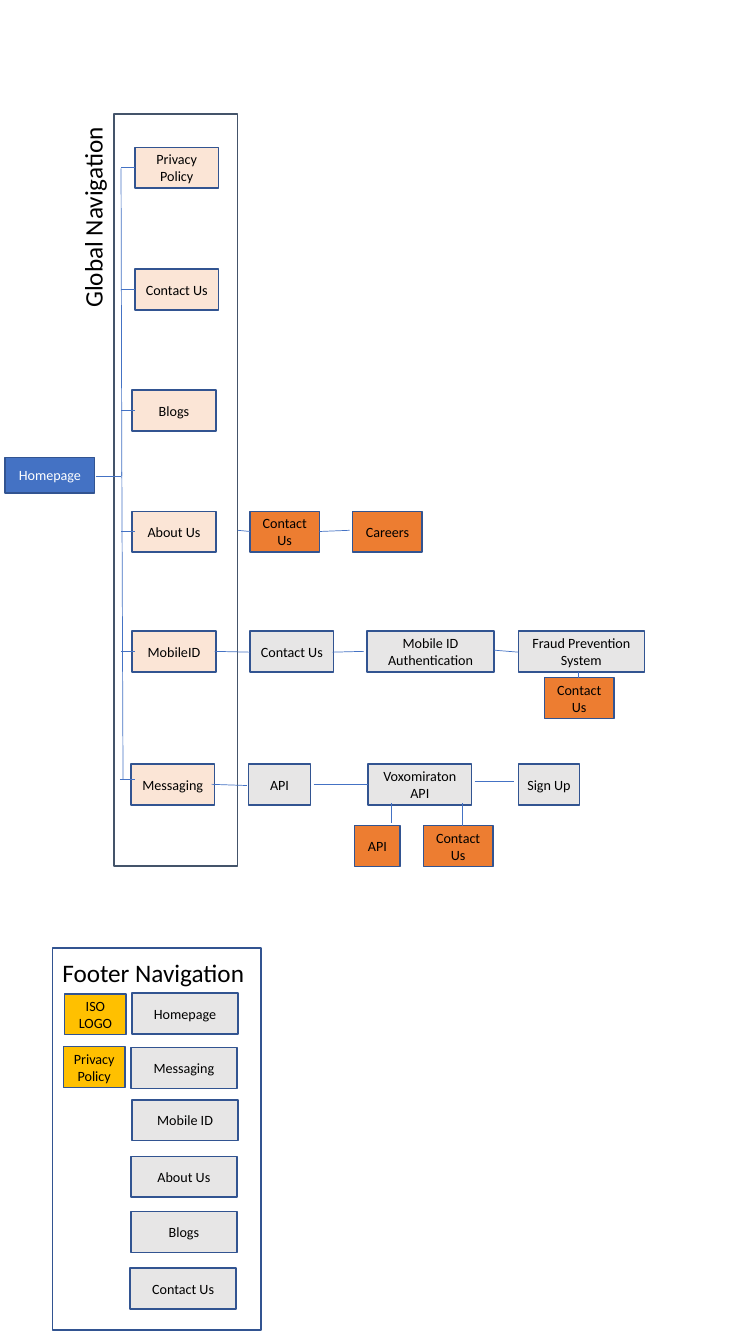
from pptx import Presentation
from pptx import util as u
from pptx.dml.color import RGBColor
from pptx.enum import shapes, text
from lxml import etree

HUES = {"blue": "4472C4", "edge": "325491", "slate": "44546A", "peach": "FBE5D6",
        "gray": "E7E6E6", "rust": "ED7D31", "gold": "FFC000",
        "black": "000000", "white": "FFFFFF"}
FONT = "Calibri"
TALL = 1.03  # height of a page box, cm

# Global menu: label, left, top
MENU = [("Privacy Policy", 3.4, 3.71), ("Contact Us", 3.4, 6.78),
        ("Blogs", 3.33, 9.83), ("About Us", 3.33, 12.88),
        ("MobileID", 3.33, 15.9), ("Messaging", 3.3, 19.25)]

# Sub-pages: top, fill, then label, left, width
ROWS = [
    (12.88, "rust", [("Contact Us", 6.3, 1.75), ("Careers", 8.89, 1.75)]),
    (15.9, "gray", [("Contact Us", 6.3, 2.11), ("Mobile ID Authentication", 9.25, 3.2),
                    ("Fraud Prevention System", 13.06, 3.18)]),
    (17.07, "rust", [("Contact Us", 13.72, 1.75)]),
    (19.25, "gray", [("API", 6.27, 1.55), ("Voxomiraton API", 9.27, 2.62),
                     ("Sign Up", 13.06, 1.55)]),
    (20.8, "rust", [("API", 8.94, 1.14), ("Contact Us", 10.67, 1.75)]),
]

# Footer: label, left, top
FOOT = [("Homepage", 3.33, 25.02), ("Messaging", 3.3, 26.39),
        ("Mobile ID", 3.33, 27.71), ("About Us", 3.3, 29.13),
        ("Blogs", 3.3, 30.53), ("Contact Us", 3.28, 31.95)]
BADGES = [("ISO LOGO", 1.63, 25.04), ("Privacy Policy", 1.6, 26.37)]

# Links: x1, y1, x2, y2
TRUNK = [(2.41, 11.99, 3.05, 11.99), (3.07, 11.99, 3.05, 4.24),
         (3.1, 19.63, 3.07, 11.89), (3.02, 19.63, 3.4, 19.63)]
LINKS = [
    (5.99, 13.36, 6.3, 13.39), (8.05, 13.39, 8.81, 13.36),
    (5.41, 16.41, 6.3, 16.43), (8.38, 16.43, 9.17, 16.41),
    (12.45, 16.38, 13.06, 16.43), (14.58, 16.94, 14.58, 17.07),
    (5.33, 19.76, 6.22, 19.79), (7.9, 19.76, 9.27, 19.76),
    (11.96, 19.69, 12.95, 19.69), (11.66, 20.24, 11.66, 20.8),
    (9.86, 20.24, 9.86, 20.73),
]

deck = Presentation()
deck.slide_width, deck.slide_height = u.Cm(19.05), u.Cm(33.86)
slide = deck.slides.add_slide(deck.slide_layouts[6])


def tint(name):
    return RGBColor.from_string(HUES[name])


def write(shape, words, size=10.1, hue="black", align=text.PP_ALIGN.CENTER):
    para = shape.text_frame.paragraphs[0]
    para.alignment = align
    run = para.add_run()
    run.text = words
    run.font.name, run.font.size = FONT, u.Pt(size)
    run.font.color.rgb = tint(hue)


def rect(x, y, w, h, fill=None, edge="edge"):
    box = slide.shapes.add_shape(shapes.MSO_SHAPE.RECTANGLE,
                                 u.Cm(x), u.Cm(y), u.Cm(w), u.Cm(h))
    box.shadow.inherit = False
    if fill:
        box.fill.solid()
        box.fill.fore_color.rgb = tint(fill)
    else:
        box.fill.background()
    box.line.color.rgb, box.line.width = tint(edge), u.Pt(1)
    return box


def page(words, x, y, w, h=TALL, fill="gray", hue="black"):
    box = rect(x, y, w, h, fill)
    frame = box.text_frame
    frame.word_wrap = True
    frame.vertical_anchor = text.MSO_ANCHOR.MIDDLE
    frame.margin_left = frame.margin_right = u.Cm(0.14)
    frame.margin_top = frame.margin_bottom = u.Cm(0.07)
    write(box, words, hue=hue)


def title(words, x, y, w, turn=0):
    box = slide.shapes.add_textbox(u.Cm(x), u.Cm(y), u.Cm(w), u.Cm(1.02))
    box.rotation = turn
    box.text_frame.word_wrap = False
    write(box, words, size=18, align=text.PP_ALIGN.LEFT)


def link(x1, y1, x2, y2):
    line = slide.shapes.add_connector(shapes.MSO_CONNECTOR.STRAIGHT,
                                      u.Cm(x1), u.Cm(y1), u.Cm(x2), u.Cm(y2))
    line.line.color.rgb, line.line.width = tint("blue"), u.Pt(0.5)
    props = line._element.spPr
    etree.SubElement(props, props.tag.replace("spPr", "effectLst").replace(
        "presentationml", "drawingml"))
    effect = props[-1]
    effect.tag = "{http://schemas.openxmlformats.org/drawingml/2006/main}effectLst"


# Pages of the site
page("Homepage", 0.13, 11.53, 2.26, h=0.89, fill="blue", hue="white")
for label, x, y in MENU:
    page(label, x, y, 2.11, fill="peach")
for y, fill, items in ROWS:
    for label, x, w in items:
        page(label, x, y, w, fill=fill)

# Global frame and title
rect(2.87, 2.87, 3.12, 18.95, edge="slate")
title("Global Navigation", -0.23, 4.93, 5.13, turn=270)

# Trunk, branches at mid-height of the menu boxes, and side links
for ends in TRUNK + LINKS:
    link(*ends)
for label, x, y in MENU[:-1]:
    link(3.05, y + TALL / 2, 3.4, y + TALL / 2)

# Footer
rect(1.32, 23.88, 5.26, 9.63)
title("Footer Navigation", 1.32, 24, 5.16)
for label, x, y in FOOT:
    page(label, x, y, 2.67)
for label, x, y in BADGES:
    page(label, x, y, 1.55, fill="gold")

deck.save("out.pptx")
